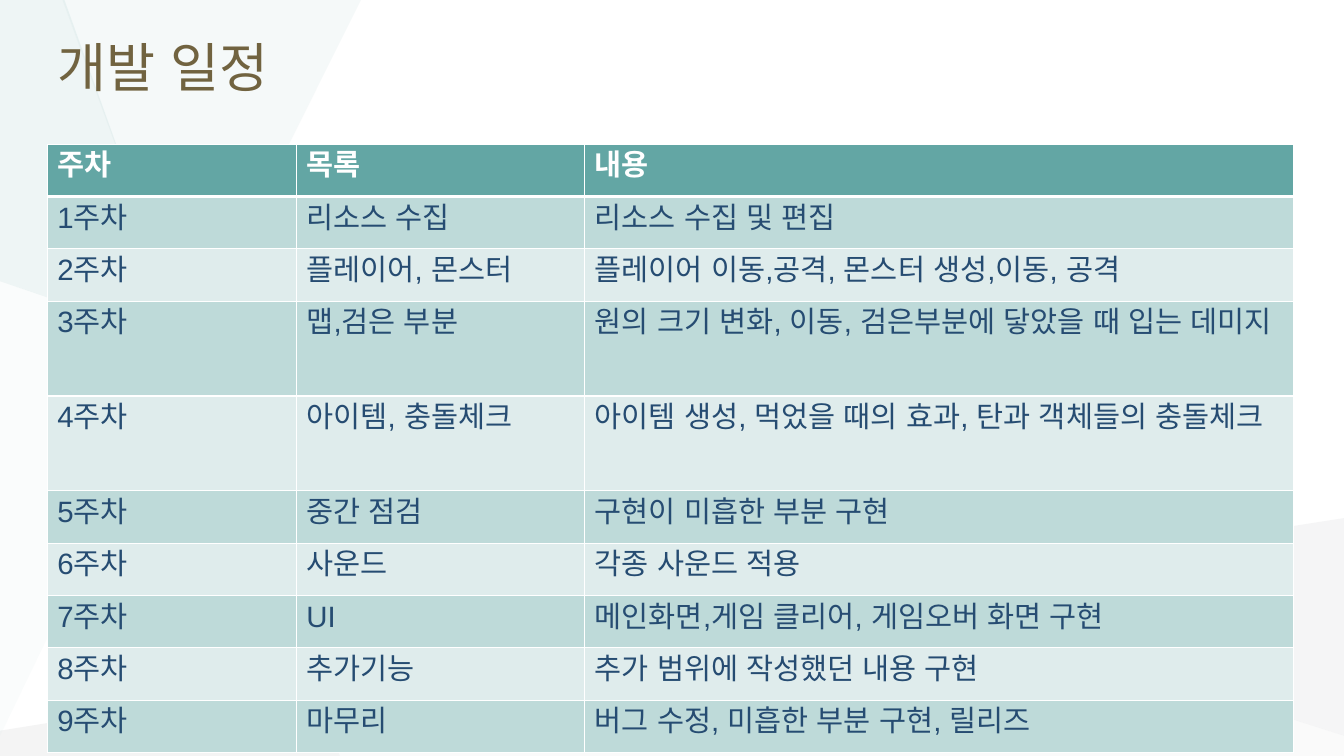
from lxml import etree
from pptx import Presentation
from pptx.dml.color import RGBColor
from pptx.enum.lang import MSO_LANGUAGE_ID
from pptx.enum.text import MSO_ANCHOR
from pptx.oxml.ns import qn
from pptx.util import Inches, Pt

MIDDLE = MSO_ANCHOR.MIDDLE
KOREAN = MSO_LANGUAGE_ID.KOREAN
FONT = "Arial"
WHITE = RGBColor(0xFF, 0xFF, 0xFF)
BROWN = RGBColor(0x71, 0x63, 0x40)
NAVY = RGBColor(0x26, 0x4C, 0x72)
TEAL = RGBColor(0x63, 0xA6, 0xA4)
BANDS = (RGBColor(0xBE, 0xDA, 0xD9), RGBColor(0xDF, 0xEC, 0xEC))
MIST = RGBColor(0xF3, 0xF2, 0xF2)
GRAY = RGBColor(0xB6, 0xB8, 0xBA)
SILVER = RGBColor(0xC6, 0xC8, 0xCA)
PALE_TEAL = RGBColor(0xE0, 0xED, 0xED)
SOFT_TEAL = RGBColor(0xC1, 0xDB, 0xDB)

WIDTH, HEIGHT = 13.33, 7.5
LEFT, CONTENT_WIDTH = 0.47, 12.36

# Corners that the background facets share
UPPER, LOWER, RIGHT = (1.87, 3.43), (3.04, 6.76), (8.79, 5.85)
LEFT_EDGE, RIGHT_EDGE = (0, 2.79), (WIDTH, 7.3)
BOTTOM = (3.37, HEIGHT)
FACETS = [
    (MIST, 26, [UPPER, (2.4, 5), LOWER, RIGHT]),
    (GRAY, 15, [LOWER, (0, 7.25), (0, HEIGHT), BOTTOM]),
    (PALE_TEAL, 31, [(3.58, 0), (0.62, 0), UPPER]),
    (SILVER, 17, [(WIDTH, 5.14), RIGHT, RIGHT_EDGE]),
    (GRAY, 6, [RIGHT, LOWER, BOTTOM, (WIDTH, HEIGHT), RIGHT_EDGE]),
    (SOFT_TEAL, 27, [(0.64, 0), (0, 0), LEFT_EDGE, UPPER]),
    (SOFT_TEAL, 8, [LEFT_EDGE, (0, 7.3), UPPER]),
]

SCHEDULE = [
    ("주차", "목록", "내용"),
    ("1주차", "리소스 수집", "리소스 수집 및 편집"),
    ("2주차", "플레이어, 몬스터", "플레이어 이동,공격, 몬스터 생성,이동, 공격"),
    ("3주차", "맵,검은 부분", "원의 크기 변화, 이동, 검은부분에 닿았을 때 입는 데미지"),
    ("4주차", "아이템, 충돌체크", "아이템 생성, 먹었을 때의 효과, 탄과 객체들의 충돌체크"),
    ("5주차", "중간 점검", "구현이 미흡한 부분 구현"),
    ("6주차", "사운드", "각종 사운드 적용"),
    ("7주차", "UI", "메인화면,게임 클리어, 게임오버 화면 구현"),
    ("8주차", "추가기능", "추가 범위에 작성했던 내용 구현"),
    ("9주차", "마무리", "버그 수정, 미흡한 부분 구현, 릴리즈"),
]
COLUMN_WIDTHS = (2.47, 2.86, 7.03)
ROW_HEIGHT, TWO_LINE_HEIGHT = 0.52, 0.94
TWO_LINE_WEEKS = (3, 4)


def add_run(paragraph, text, size, color, bold=False):
    run = paragraph.add_run()
    run.text = text
    run.font.name = FONT
    run.font.size = Pt(size)
    run.font.bold = bold
    run.font.color.rgb = color
    run.font.language_id = KOREAN
    etree.SubElement(run.font._element, qn("a:ea"), typeface=FONT)


def set_borders(cell, top, bottom):
    """Draw white cell borders; widths in points, the sides being 1 pt."""
    properties = cell._tc.get_or_add_tcPr()
    sides = (("a:lnL", 1), ("a:lnR", 1), ("a:lnT", top), ("a:lnB", bottom))
    for position, (tag, width) in enumerate(sides):
        line = etree.Element(qn(tag), w=str(Pt(width)))
        fill = etree.SubElement(line, qn("a:solidFill"))
        etree.SubElement(fill, qn("a:srgbClr"), val=str(WHITE))
        properties.insert(position, line)


presentation = Presentation()
presentation.slide_width = Inches(WIDTH)
presentation.slide_height = Inches(HEIGHT)
slide = presentation.slides.add_slide(presentation.slide_layouts[6])
slide.background.fill.solid()
slide.background.fill.fore_color.rgb = WHITE

for color, opacity, corners in FACETS:
    start, *others = [(Inches(x), Inches(y)) for x, y in corners]
    outline = slide.shapes.build_freeform(*start)
    outline.add_line_segments(others, close=True)
    facet = outline.convert_to_shape()
    facet.shadow.inherit = False
    facet.line.fill.background()
    facet.fill.solid()
    facet.fill.fore_color.rgb = color
    tint = facet.fill._xPr.find(".//" + qn("a:srgbClr"))
    etree.SubElement(tint, qn("a:alpha"), val=str(opacity * 1000))

title = slide.shapes.add_textbox(
    Inches(LEFT), Inches(0.14), Inches(CONTENT_WIDTH), Inches(1.03)
).text_frame
title.word_wrap = True
title.vertical_anchor = MIDDLE
add_run(title.paragraphs[0], "개발 일정", 38, BROWN)

schedule = slide.shapes.add_table(
    len(SCHEDULE), len(COLUMN_WIDTHS), Inches(LEFT), Inches(1.43),
    Inches(CONTENT_WIDTH), Inches(ROW_HEIGHT * len(SCHEDULE))
).table
for column, width in zip(schedule.columns, COLUMN_WIDTHS):
    column.width = Inches(width)

for week, entries in enumerate(SCHEDULE):
    is_header = week == 0
    height = TWO_LINE_HEIGHT if week in TWO_LINE_WEEKS else ROW_HEIGHT
    schedule.rows[week].height = Inches(height)
    for column, entry in enumerate(entries):
        cell = schedule.cell(week, column)
        cell.fill.solid()
        cell.fill.fore_color.rgb = TEAL if is_header else BANDS[(week - 1) % 2]
        set_borders(cell, top=3 if week == 1 else 1, bottom=3 if is_header else 1)
        add_run(cell.text_frame.paragraphs[0], entry, 21,
                WHITE if is_header else NAVY, bold=is_header)

presentation.save("out.pptx")
